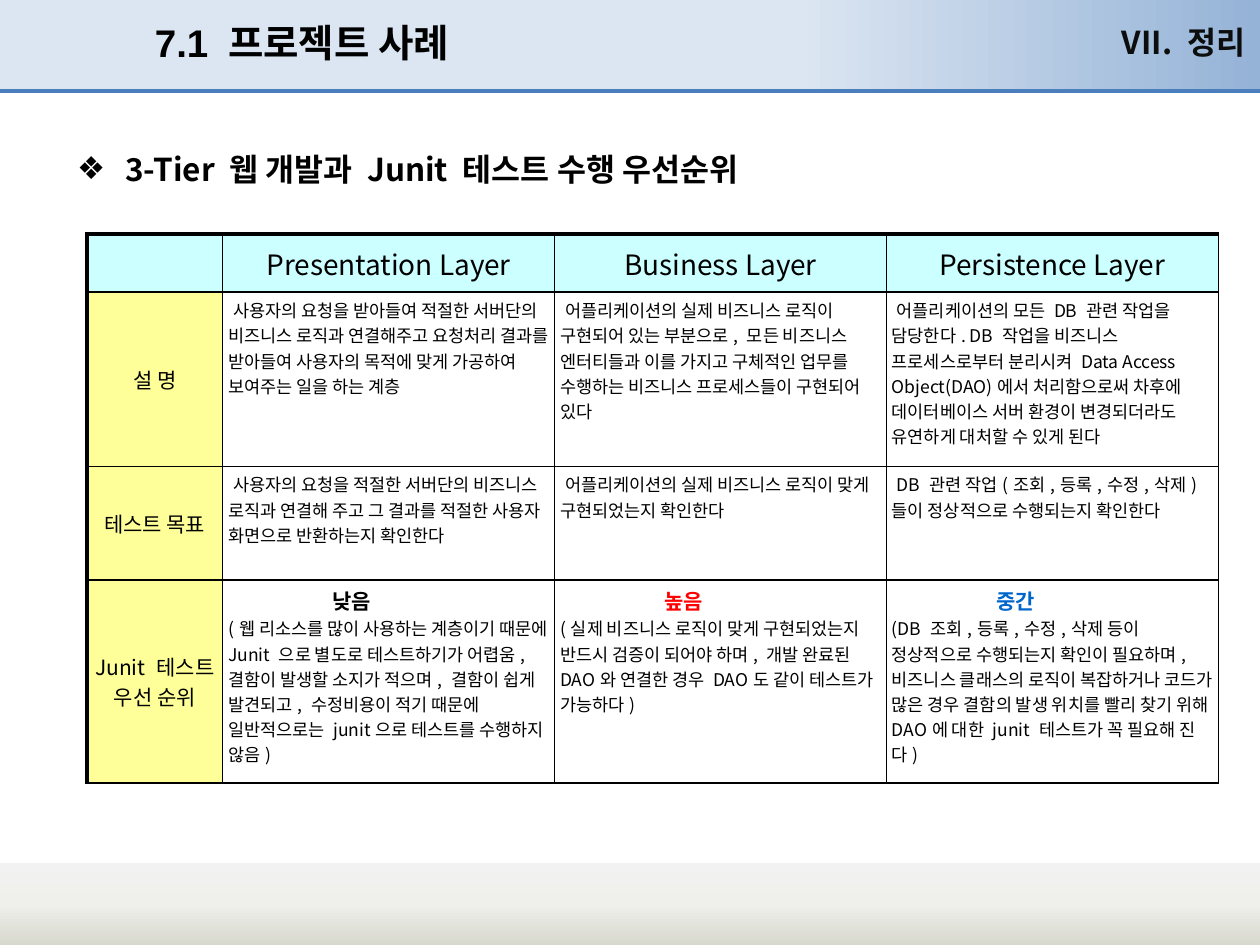
from lxml.etree import SubElement
from pptx import Presentation
from pptx.dml.color import RGBColor
from pptx.enum.shapes import MSO_CONNECTOR, MSO_SHAPE
from pptx.enum.text import MSO_ANCHOR as Anchor, MSO_AUTO_SIZE as AutoSize, PP_ALIGN as Align
from pptx.oxml.ns import qn
from pptx.util import Cm, Pt

BLACK = RGBColor(0x00, 0x00, 0x00)
WHITE = RGBColor(0xFF, 0xFF, 0xFF)
INK = RGBColor(0x0D, 0x0D, 0x0D)
RED = RGBColor(0xFF, 0x00, 0x00)
BLUE = RGBColor(0x00, 0x66, 0xCC)
RULE_BLUE = RGBColor(0x4B, 0x7E, 0xBC)
HEADER_FILL = RGBColor(0xCC, 0xFF, 0xFF)
LABEL_FILL = RGBColor(0xFF, 0xFF, 0x99)
BANNER_STOPS = [(0, RGBColor(0xDC, 0xE6, 0xF2)), (63, RGBColor(0xDC, 0xE6, 0xF2)),
                (100, RGBColor(0x95, 0xB3, 0xD7))]
FOOTER_STOPS = [(0, RGBColor(0xF2, 0xF2, 0xF2)), (50, RGBColor(0xEF, 0xEF, 0xEB)),
                (100, RGBColor(0xD7, 0xD8, 0xCE))]
KOREAN = "Noto Sans CJK KR"


def write(para, text, size, bold=False, color=BLACK, font=KOREAN, align=Align.LEFT,
          left=0, first=0):
    """Fill a paragraph with one formatted span; left and first are indents in cm."""
    para.alignment = align
    props = para._p.get_or_add_pPr()
    props.set("marL", str(Cm(left)))
    props.set("indent", str(Cm(first)))
    span = para.add_run()
    span.text = text
    span.font.size = Pt(size)
    span.font.bold = bold
    span.font.color.rgb = color
    span.font.name = font
    SubElement(span._r.get_or_add_rPr(), qn("a:ea"), typeface=KOREAN)


def draw_border(cell, side, width):
    line = SubElement(cell._tc.get_or_add_tcPr(), qn("a:ln" + side), w=str(Pt(width)))
    fill = SubElement(line, qn("a:solidFill"))
    SubElement(fill, qn("a:srgbClr"), val=str(BLACK))


deck = Presentation()
deck.slide_width, deck.slide_height = Cm(25.4), Cm(19.05)
page = deck.slides.add_slide(deck.slide_layouts[1])
title, body = page.shapes.title, page.placeholders[1]

# Gradient bands and rule, behind the placeholders
for top, height, stops, angle in [(-0.02, 1.85, BANNER_STOPS, 0),
                                  (17.4, 1.65, FOOTER_STOPS, 270)]:
    band = page.shapes.add_shape(MSO_SHAPE.RECTANGLE, 0, Cm(top), deck.slide_width, Cm(height))
    band.shadow.inherit = False
    band.line.fill.background()
    band.fill.gradient()
    band.fill.gradient_angle = angle
    stop_list = band.element.spPr.find(qn("a:gradFill")).find(qn("a:gsLst"))
    for old_stop in list(stop_list):
        stop_list.remove(old_stop)
    for position, color in stops:
        stop = SubElement(stop_list, qn("a:gs"), pos=str(position * 1000))
        SubElement(stop, qn("a:srgbClr"), val=str(color))
    title.element.addprevious(band.element)

rule = page.shapes.add_connector(MSO_CONNECTOR.STRAIGHT, 0, Cm(1.83), deck.slide_width, Cm(1.83))
rule.line.color.rgb = RULE_BLUE
rule.line.width = Pt(2)
SubElement(rule.element.spPr, qn("a:effectLst"))
title.element.addprevious(rule.element)

# Title, section name and heading
title.left, title.top, title.width, title.height = Cm(2.87), Cm(0.13), Cm(15), Cm(1.45)
title.text_frame.vertical_anchor = Anchor.MIDDLE
title.text_frame.auto_size = AutoSize.NONE
write(title.text_frame.paragraphs[0], "7.1 프로젝트 사례", 22, bold=True, font="Arial")

body.left, body.top, body.width, body.height = Cm(1.3), Cm(2.51), Cm(23.4), Cm(14.6)
body.text_frame.auto_size = AutoSize.NONE
heading = body.text_frame.paragraphs[0]
heading.line_spacing = 1.5
heading.space_before = Pt(0)
SubElement(heading._p.get_or_add_pPr(), qn("a:buChar"), char="❖")
write(heading, "3-Tier 웹 개발과 Junit 테스트 수행 우선순위", 18, bold=True, left=0.97, first=-0.97)

section = page.shapes.add_textbox(Cm(17.3), Cm(0.33), Cm(7.8), Cm(1))
section.text_frame.word_wrap = True
section.text_frame.margin_left = section.text_frame.margin_right = 0
write(section.text_frame.paragraphs[0], "VII. 정리", 18, bold=True, color=INK, align=Align.RIGHT)

# Layer table
HEADERS = ["", "Presentation Layer", "Business Layer", "Persistence Layer"]
PRIORITIES = [("낮음", BLACK), ("높음", RED), ("중간", BLUE)]
ROWS = [
    ["설 명",
     "사용자의 요청을 받아들여 적절한 서버단의 비즈니스 로직과 연결해주고 요청처리 결과를 "
     "받아들여 사용자의 목적에 맞게 가공하여 보여주는 일을 하는 계층",
     "어플리케이션의 실제 비즈니스 로직이 구현되어 있는 부분으로, 모든 비즈니스 엔터티들과 "
     "이를 가지고 구체적인 업무를 수행하는 비즈니스 프로세스들이 구현되어 있다",
     "어플리케이션의 모든 DB 관련 작업을 담당한다. DB 작업을 비즈니스 프로세스로부터 분리시켜 "
     "Data Access Object(DAO)에서 처리함으로써 차후에 데이터베이스 서버 환경이 변경되더라도 "
     "유연하게 대처할 수 있게 된다"],
    ["테스트 목표",
     "사용자의 요청을 적절한 서버단의 비즈니스 로직과 연결해 주고 그 결과를 적절한 사용자 "
     "화면으로 반환하는지 확인한다",
     "어플리케이션의 실제 비즈니스 로직이 맞게 구현되었는지 확인한다",
     "DB 관련 작업(조회,등록,수정,삭제)들이 정상적으로 수행되는지 확인한다"],
    ["Junit 테스트\n우선 순위",
     "(웹 리소스를 많이 사용하는 계층이기 때문에 Junit 으로 별도로 테스트하기가 어렵움, "
     "결함이 발생할 소지가 적으며, 결함이 쉽게 발견되고, 수정비용이 적기 때문에 일반적으로는 "
     "junit으로 테스트를 수행하지 않음)",
     "(실제 비즈니스 로직이 맞게 구현되었는지 반드시 검증이 되어야 하며, 개발 완료된 DAO와 "
     "연결한 경우 DAO도 같이 테스트가 가능하다)",
     "(DB 조회,등록,수정,삭제 등이 정상적으로 수행되는지 확인이 필요하며, 비즈니스 클래스의 "
     "로직이 복잡하거나 코드가 많은 경우 결함의 발생 위치를 빨리 찾기 위해 DAO에 대한 junit "
     "테스트가 꼭 필요해 진다)"],
]
COLUMN_WIDTHS = [2.74, 6.69, 6.69, 6.69]
ROW_HEIGHTS = [1.17, 3.51, 2.29, 4.09]
frame = page.shapes.add_table(len(ROW_HEIGHTS), len(COLUMN_WIDTHS), Cm(1.75), Cm(4.72),
                              Cm(sum(COLUMN_WIDTHS)), Cm(sum(ROW_HEIGHTS)))
table = frame.table
table.first_row = table.horz_banding = False
for column, width in zip(table.columns, COLUMN_WIDTHS):
    column.width = Cm(width)
for row, height in zip(table.rows, ROW_HEIGHTS):
    row.height = Cm(height)

for r, texts in enumerate([HEADERS] + ROWS):
    for c, text in enumerate(texts):
        cell = table.cell(r, c)
        is_label = r == 0 or c == 0
        margin = Cm(0.02 if is_label else 0.11)
        cell.margin_left = cell.margin_right = cell.margin_top = cell.margin_bottom = margin
        cell.vertical_anchor = Anchor.MIDDLE if is_label else Anchor.TOP
        for side, is_outer in [("L", c == 0), ("R", False), ("T", r == 0), ("B", False)]:
            draw_border(cell, side, 2.25 if is_outer else 1)
        cell.fill.solid()
        cell.fill.fore_color.rgb = HEADER_FILL if r == 0 else LABEL_FILL if c == 0 else WHITE

        para = cell.text_frame.paragraphs[0]
        if is_label:
            for i, line in enumerate(text.split("\n") if text else []):
                para = cell.text_frame.add_paragraph() if i else para
                write(para, line, 16 if r == 0 else 12, align=Align.CENTER)
        elif r == len(ROWS):
            priority, color = PRIORITIES[c - 1]
            write(para, priority, 12, bold=True, color=color, left=2.1)
            write(cell.text_frame.add_paragraph(), text, 10)
        else:
            write(para, text, 10, first=0.1)

deck.save("out.pptx")
